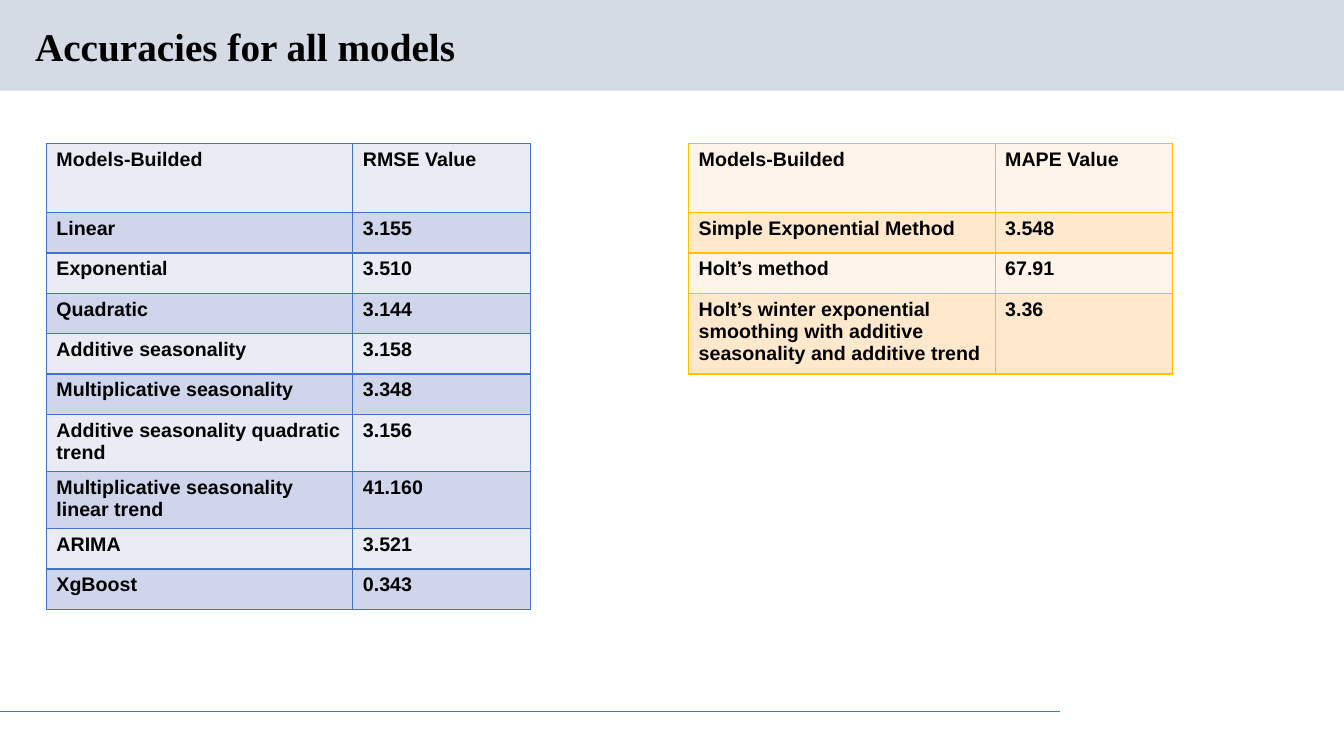
from dataclasses import dataclass

from lxml import etree
from pptx import Presentation
from pptx import util as u
from pptx.dml.color import RGBColor
from pptx.enum import shapes, text
from pptx.oxml import ns

INK = "000000"
BLUE = "4472C4"
LEFT_COL, RIGHT_COL = 3.04, 1.76
HEAD_ROW, BODY_ROW = 0.69, 0.4


@dataclass
class Grid:
    left: float
    edge: str
    bands: tuple[str, str]
    rows: list[tuple[str, str]]


GRIDS = [
    Grid(0.46, BLUE, ("E9EBF5", "CFD5EA"), [
        ("Models-Builded", "RMSE Value"),
        ("Linear", "3.155"),
        ("Exponential", "3.510"),
        ("Quadratic", "3.144"),
        ("Additive seasonality", "3.158"),
        ("Multiplicative seasonality", "3.348"),
        ("Additive seasonality quadratic trend", "3.156"),
        ("Multiplicative seasonality linear trend", "41.160"),
        ("ARIMA", "3.521"),
        ("XgBoost", "0.343"),
    ]),
    Grid(6.83, "FFC000", ("FFF4E7", "FFE8CC"), [
        ("Models-Builded", "MAPE Value"),
        ("Simple Exponential Method", "3.548"),
        ("Holt’s method", "67.91"),
        ("Holt’s winter exponential smoothing with additive "
         "seasonality and additive trend", "3.36"),
    ]),
]


def color(code: str) -> RGBColor:
    return RGBColor.from_string(code)


def paint(target, code: str) -> None:
    target.fill.solid()
    target.fill.fore_color.rgb = color(code)


def write(frame, words: str, *, size: float = 14, font: str = "Arial",
          space: float | None = None) -> None:
    para = frame.paragraphs[0]
    para.line_spacing = space
    run = para.add_run()
    run.text = words
    run.font.size = u.Pt(size)
    run.font.name = font
    run.font.bold = True
    run.font.color.rgb = color(INK)


def border(cell, code: str) -> None:
    """Give all four sides of a cell a 1 pt line."""
    props = cell._tc.get_or_add_tcPr()
    for side in "LRTB":
        line = etree.SubElement(props, ns.qn(f"a:ln{side}"), w=str(u.Pt(1)))
        fill = etree.SubElement(line, ns.qn("a:solidFill"))
        etree.SubElement(fill, ns.qn("a:srgbClr"), val=code)


def draw_grid(slide, grid: Grid) -> None:
    count = len(grid.rows)
    table = slide.shapes.add_table(
        count, 2, u.Inches(grid.left), u.Inches(1.42),
        u.Inches(LEFT_COL + RIGHT_COL),
        u.Inches(HEAD_ROW + BODY_ROW * (count - 1))).table
    table.horz_banding = False
    for col, width in zip(table.columns, (LEFT_COL, RIGHT_COL)):
        col.width = u.Inches(width)
    for r, row in enumerate(grid.rows):
        table.rows[r].height = u.Inches(BODY_ROW if r else HEAD_ROW)
        for c, words in enumerate(row):
            cell = table.cell(r, c)
            write(cell.text_frame, words)
            border(cell, grid.edge)
            paint(cell, grid.bands[r % 2])


def draw_frame(slide) -> None:
    """Draw the title band, the title and the footer rule."""
    band = slide.shapes.add_shape(
        shapes.MSO_SHAPE.RECTANGLE, 0, 0, u.Inches(13.33), u.Inches(0.9))
    band.shadow.inherit = False
    paint(band, "D5DBE5")
    band.line.fill.background()

    rule = slide.shapes.add_connector(
        shapes.MSO_CONNECTOR.STRAIGHT, 0, u.Inches(7.06),
        u.Inches(10.51), u.Inches(7.06))
    rule.line.color.rgb = color(BLUE)
    rule.line.width = u.Pt(0.75)
    etree.SubElement(rule._element.spPr, ns.qn("a:effectLst"))

    title = slide.shapes.add_textbox(
        u.Inches(0.25), u.Inches(0.22), u.Inches(11.5), u.Inches(0.52))
    frame = title.text_frame
    frame.word_wrap = True
    frame.vertical_anchor = text.MSO_ANCHOR.MIDDLE
    write(frame, "Accuracies for all models", size=28,
          font="Times New Roman", space=0.9)


def main() -> None:
    deck = Presentation()
    deck.slide_width = u.Inches(13.33)
    deck.slide_height = u.Inches(7.5)
    slide = deck.slides.add_slide(deck.slide_layouts[6])
    draw_frame(slide)
    for grid in GRIDS:
        draw_grid(slide, grid)
    deck.save("out.pptx")


if __name__ == "__main__":
    main()
